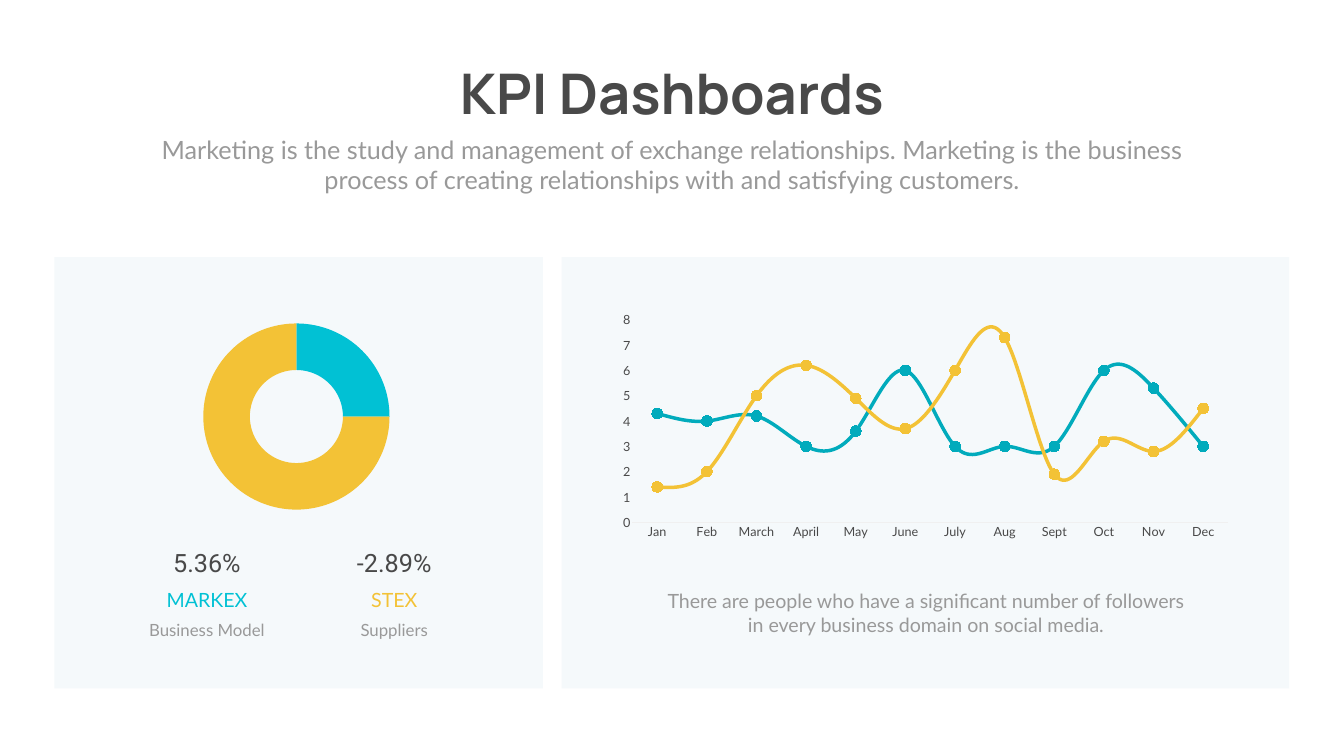
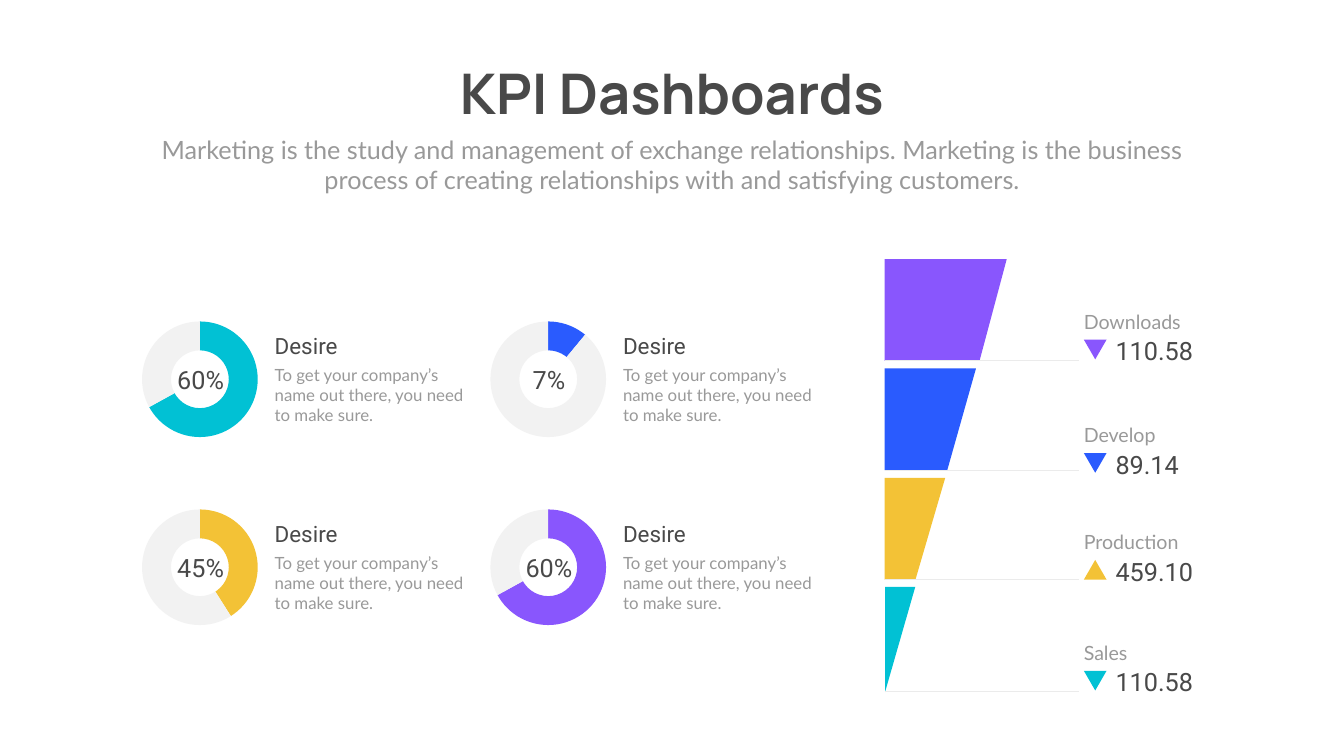
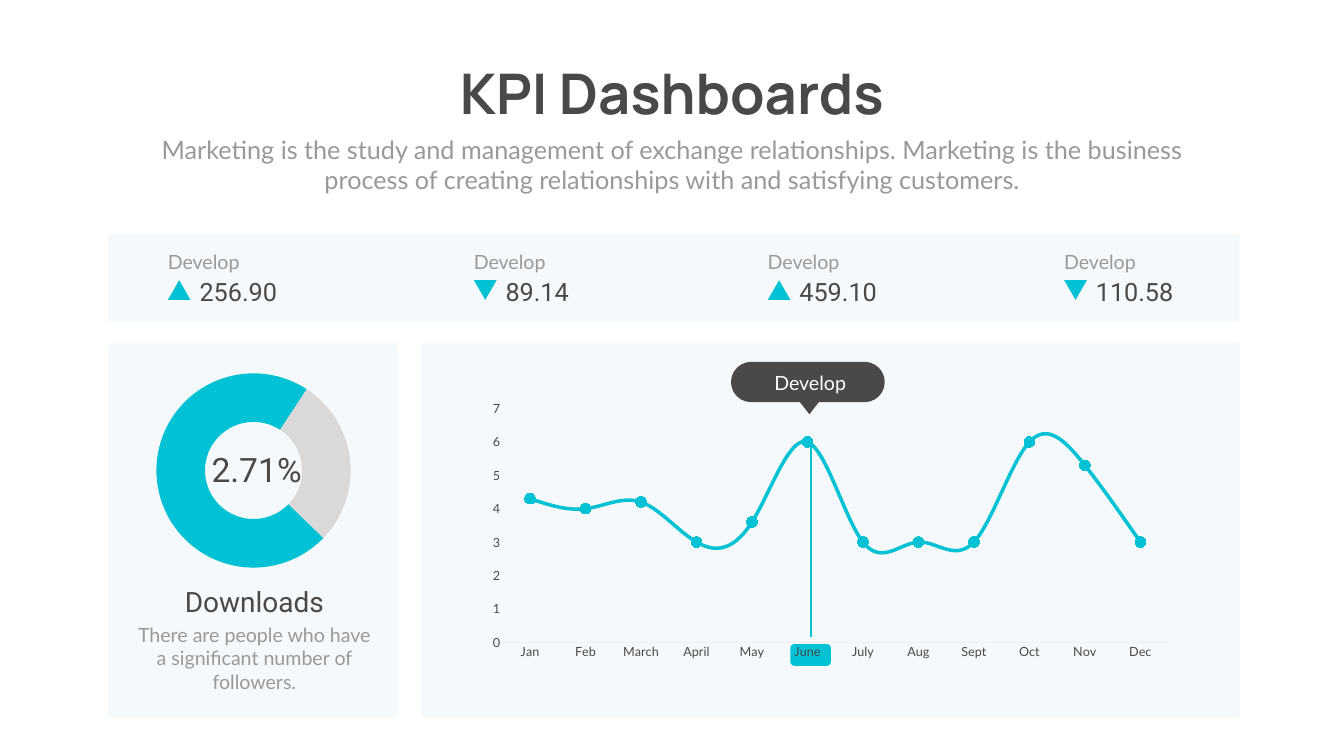
import pptx
import pptx.chart.data
import pptx.dml.color
import pptx.enum.chart
import pptx.enum.shapes
import pptx.enum.text
import pptx.oxml.ns
import pptx.util
from lxml import etree

Inches = pptx.util.Inches
Pt = pptx.util.Pt
RGBColor = pptx.dml.color.RGBColor
SHAPE = pptx.enum.shapes.MSO_SHAPE
CHART = pptx.enum.chart.XL_CHART_TYPE
CENTER = pptx.enum.text.PP_ALIGN.CENTER
qn = pptx.oxml.ns.qn

DARK = RGBColor(0x49, 0x49, 0x49)
GREY = RGBColor(0x99, 0x99, 0x99)
WHITE = RGBColor(0xFF, 0xFF, 0xFF)
PANEL = RGBColor(0xF5, 0xF9, 0xFB)
AXIS = RGBColor(0xF0, 0xF0, 0xF0)
RULE = RGBColor(0xEB, 0xEB, 0xEB)
TRACK = RGBColor(0xF2, 0xF2, 0xF2)
SILVER = RGBColor(0xD9, 0xD9, 0xD9)
TEAL = RGBColor(0x01, 0xC1, 0xD4)
DEEP_TEAL = RGBColor(0x01, 0xAB, 0xBC)
YELLOW = RGBColor(0xF3, 0xC2, 0x36)
BLUE = RGBColor(0x2A, 0x5B, 0xFE)
PURPLE = RGBColor(0x89, 0x56, 0xFD)

HEADING_FONT, BODY_FONT, NUMBER_FONT = "Manrope", "Lato", "Roboto"
LABEL_SPACING = 40.8

MONTHS = ["Jan", "Feb", "March", "April", "May", "June",
          "July", "Aug", "Sept", "Oct", "Nov", "Dec"]
FIRST_TREND = [4.3, 4, 4.2, 3, 3.6, 6, 3, 3, 3, 6, 5.3, 3]
SECOND_TREND = [1.4, 2, 5, 6.2, 4.9, 3.7, 6, 7.3, 1.9, 3.2, 2.8, 4.5]


def inches(*lengths):
    return [Inches(length) for length in lengths]


def add_text(slide, box, text, size, color=GREY, font=BODY_FONT, align=None,
             spacing=None, bold=None, wrap=True):
    frame = slide.shapes.add_textbox(*inches(*box)).text_frame
    frame.word_wrap = wrap
    frame.auto_size = pptx.enum.text.MSO_AUTO_SIZE.SHAPE_TO_FIT_TEXT
    paragraph = frame.paragraphs[0]
    paragraph.text = text
    paragraph.alignment = align
    if spacing:
        paragraph.line_spacing = Pt(spacing)
    paragraph.font.name = font
    paragraph.font.size = Pt(size)
    paragraph.font.bold = bold
    paragraph.font.color.rgb = color


def paint(shape, color):
    """Give a shape a flat fill, without outline or shadow."""
    shape.shadow.inherit = False
    shape.fill.solid()
    shape.fill.fore_color.rgb = color
    shape.line.fill.background()


def add_flat(slide, preset, box, color, rotation=0):
    shape = slide.shapes.add_shape(preset, *inches(*box))
    shape.rotation = rotation
    paint(shape, color)
    return shape


def add_rounded(slide, box, rounding, color=PANEL):
    shape = add_flat(slide, SHAPE.ROUNDED_RECTANGLE, box, color)
    shape.adjustments[0] = rounding


def add_rule(slide, start, end, color, width):
    rule = slide.shapes.add_connector(
        pptx.enum.shapes.MSO_CONNECTOR.STRAIGHT, *inches(*start, *end))
    rule.line.color.rgb = color
    rule.line.width = Pt(width)
    properties = rule.line._get_or_add_ln().getparent()
    etree.SubElement(properties, qn("a:effectLst"))


def add_chart(slide, kind, box, categories, series, font, size, color):
    """Add a chart without title, legend or background; series is a list of value lists."""
    data = pptx.chart.data.CategoryChartData()
    data.categories = categories
    for number, values in enumerate(series, 1):
        data.add_series(f"Series {number}", values)
    chart = slide.shapes.add_chart(kind, *inches(*box), data).chart
    chart.has_title = False
    chart.has_legend = False
    chart.font.name = font
    chart.font.size = Pt(size)
    chart.font.color.rgb = color
    background = etree.Element(qn("c:spPr"))
    etree.SubElement(background, qn("a:noFill"))
    outline = etree.SubElement(background, qn("a:ln"))
    etree.SubElement(outline, qn("a:noFill"))
    chart._chartSpace.find(qn("c:chart")).addnext(background)
    return chart


def add_ring(slide, box, shares, colors, hole, start=0):
    chart = add_chart(slide, CHART.DOUGHNUT, box, ["1", "2"], [shares],
                      "Calibri", 10, GREY)
    plot = chart.plots[0]
    for index, color in enumerate(colors):
        slice_format = plot.series[0].points[index].format
        slice_format.fill.solid()
        slice_format.fill.fore_color.rgb = color
        slice_format.line.fill.background()
    plot._element.find(qn("c:holeSize")).set("val", str(hole))
    plot._element.find(qn("c:firstSliceAng")).set("val", str(start))


def add_trend(slide, box, trends, top):
    """Draw smooth monthly lines; trends holds (values, line colour, marker colour)."""
    chart = add_chart(slide, CHART.LINE_MARKERS, box, MONTHS,
                      [values for values, *_ in trends], BODY_FONT, 18, DARK)
    chart.plots[0].vary_by_categories = False
    for series, (_, line_color, marker_color) in zip(chart.plots[0].series, trends):
        series.smooth = True
        series.format.line.color.rgb = line_color
        series.format.line.width = Pt(5)
        series.marker.style = pptx.enum.chart.XL_MARKER_STYLE.CIRCLE
        series.marker.size = 15
        series.marker.format.fill.solid()
        series.marker.format.fill.fore_color.rgb = marker_color
        series.marker.format.line.color.rgb = marker_color
    for axis in (chart.category_axis, chart.value_axis):
        axis.has_major_gridlines = False
        axis.major_tick_mark = pptx.enum.chart.XL_TICK_MARK.NONE
        axis.minor_tick_mark = pptx.enum.chart.XL_TICK_MARK.NONE
    chart.category_axis.format.line.color.rgb = AXIS
    chart.category_axis.format.line.width = Pt(0.75)
    values = chart.value_axis
    values.format.line.fill.background()
    values.minimum_scale, values.maximum_scale, values.major_unit = 0, top, 1


def add_indicator(slide, left, top, label, value, rising, color, label_width=2.04):
    """Add a label above an up or down marker and its figure."""
    add_text(slide, (left, top, label_width, 0.62), label, 28, spacing=LABEL_SPACING)
    add_text(slide, (left + 0.63, top + 0.62, 2.04, 0.71), value, 36, DARK, NUMBER_FONT)
    add_flat(slide, SHAPE.ISOSCELES_TRIANGLE, (left + 0.1, top + 0.75, 0.45, 0.39),
             color, 0 if rising else 180)


def add_exchange(slide, left, width, change, name, role, color):
    middle = left + width / 2
    add_text(slide, (middle - 1.02, 10.8, 2.04, 0.71), change, 36, DARK,
             NUMBER_FONT, CENTER)
    add_text(slide, (left, 11.52, width, 0.62), name, 28, color,
             align=CENTER, spacing=LABEL_SPACING)
    add_text(slide, (left, 12.08, width, 0.6), role, 24,
             align=CENTER, spacing=LABEL_SPACING)


def add_goal(slide, left, top, percent, share, color):
    """Add a ring with its percentage, and a heading and text on its right."""
    add_ring(slide, (left, top, 2.75, 2.57), (share, 100 - share), (color, TRACK), 75)
    add_text(slide, (left + 0.62, top + 0.93, 1.54, 0.71), percent, 36, DARK,
             NUMBER_FONT, CENTER)
    add_text(slide, (left + 2.76, top + 0.3, 4.99, 0.64), "Desire", 32, DARK, NUMBER_FONT)
    add_text(slide, (left + 2.76, top + 0.94, 4.18, 1.31),
             "To get your company’s name out there, you need to make sure.", 24)


def add_funnel_tier(slide, left, top, upper_right, lower_right, color):
    bottom = top + 2.02
    builder = slide.shapes.build_freeform(*inches(left, top))
    builder.add_line_segments([inches(upper_right, top), inches(lower_right, bottom),
                               inches(left, bottom)])
    paint(builder.convert_to_shape(), color)


def add_dashboard(deck):
    """Add a slide with the shared title and introduction."""
    slide = deck.slides.add_slide(deck.slide_layouts[6])
    add_text(slide, (8.67, 1.12, 9.32, 1.45), "KPI Dashboards", 80, DARK,
             HEADING_FONT, CENTER, bold=True, wrap=False)
    add_text(slide, (2.92, 2.61, 20.82, 1.31),
             "Marketing is the study and management of exchange relationships. "
             "Marketing is the business process of creating relationships with "
             "and satisfying customers.", 36, align=CENTER)
    return slide


def build_exchanges(deck):
    slide = add_dashboard(deck)
    add_rounded(slide, (11.14, 5.1, 14.43, 8.56), 0)
    add_trend(slide, (12.11, 6.1, 12.5, 4.7),
              [(FIRST_TREND, DEEP_TEAL, DEEP_TEAL), (SECOND_TREND, YELLOW, YELLOW)], 8)
    add_rounded(slide, (1.08, 5.1, 9.69, 8.56), 0)
    add_ring(slide, (3.83, 6.28, 4.1, 3.97), (25, 75), (TEAL, YELLOW), 65)
    add_exchange(slide, 2.64, 2.93, "5.36%", "MARKEX", "Business Model", TEAL)
    add_exchange(slide, 6.8, 2.04, "-2.89%", "STEX", "Suppliers", YELLOW)
    add_text(slide, (12.97, 11.64, 10.79, 1.04),
             "There are people who have a significant number of followers "
             "in every business domain on social media.", 28, align=CENTER)


def build_goals(deck):
    slide = add_dashboard(deck)
    goals = [("60%", 67, TEAL), ("7%", 11, BLUE), ("45%", 41, YELLOW), ("60%", 67, PURPLE)]
    for index, goal in enumerate(goals):
        row, column = divmod(index, 2)
        add_goal(slide, 2.59 + 6.91 * column, 6.24 + 3.73 * row, *goal)

    funnel_left, funnel_top, pitch = 17.55, 5.14, 2.17
    tiers = [(19.97, 19.43, PURPLE), (19.36, 18.79, BLUE), (18.75, 18.16, YELLOW)]
    for index, tier in enumerate(tiers):
        add_funnel_tier(slide, funnel_left, funnel_top + pitch * index, *tier)
    add_flat(slide, SHAPE.RIGHT_TRIANGLE, (16.81, 12.39, 2.09, 0.6), TEAL, 90)

    stages = [(5.99, "Downloads", "110.58", False, PURPLE, 7.15),
              (8.24, "Develop", "89.14", False, BLUE, 9.33),
              (10.36, "Production", "459.10", True, YELLOW, 11.5),
              (12.56, "Sales", "110.58", False, TEAL, 13.72)]
    for top, label, value, rising, color, base in stages:
        add_indicator(slide, 21.4, top, label, value, rising, color, label_width=2.4)
        add_rule(slide, (funnel_left, base), (21.4, base), RULE, 2)


def build_downloads(deck):
    slide = add_dashboard(deck)
    add_rounded(slide, (8.36, 6.81, 16.24, 7.43), 0.007)
    add_rounded(slide, (2.14, 6.81, 5.76, 7.43), 0.014)
    add_rounded(slide, (2.14, 4.64, 22.45, 1.74), 0.028)
    for left, value, rising in [(3.23, "256.90", True), (9.3, "89.14", False),
                                (15.13, "459.10", True), (21.01, "110.58", False)]:
        add_indicator(slide, left, 4.81, "Develop", value, rising, TEAL)

    add_ring(slide, (2.95, 7.27, 4.16, 4.13), (72, 28), (TEAL, SILVER), 86, start=134)
    add_text(slide, (4.07, 8.85, 2.04, 0.91), "2.71%", 48, DARK, NUMBER_FONT, CENTER)
    add_text(slide, (1.41, 11.55, 7.27, 0.77), "Downloads", 40, DARK, NUMBER_FONT, CENTER)
    add_text(slide, (2.61, 12.3, 4.87, 1.51),
             "There are people who have a significant number of followers.",
             28, align=CENTER)

    add_rounded(slide, (15.68, 12.78, 0.8, 0.43), 0.17, TEAL)
    add_trend(slide, (9.5, 7.85, 13.95, 5.34), [(FIRST_TREND, TEAL, DEEP_TEAL)], 7)
    add_rule(slide, (16.08, 8.85), (16.08, 12.63), TEAL, 3)
    add_rounded(slide, (14.5, 7.18, 3.05, 0.8), 0.5, DARK)
    add_flat(slide, SHAPE.ISOSCELES_TRIANGLE, (15.83, 7.93, 0.45, 0.29), DARK, 180)
    add_text(slide, (15.05, 7.22, 2.04, 0.62), "Develop", 28, WHITE,
             align=CENTER, spacing=LABEL_SPACING)


def main():
    deck = pptx.Presentation()
    deck.slide_width, deck.slide_height = inches(26.66, 15)
    build_exchanges(deck)
    build_goals(deck)
    build_downloads(deck)
    deck.save("out.pptx")


if __name__ == "__main__":
    main()
